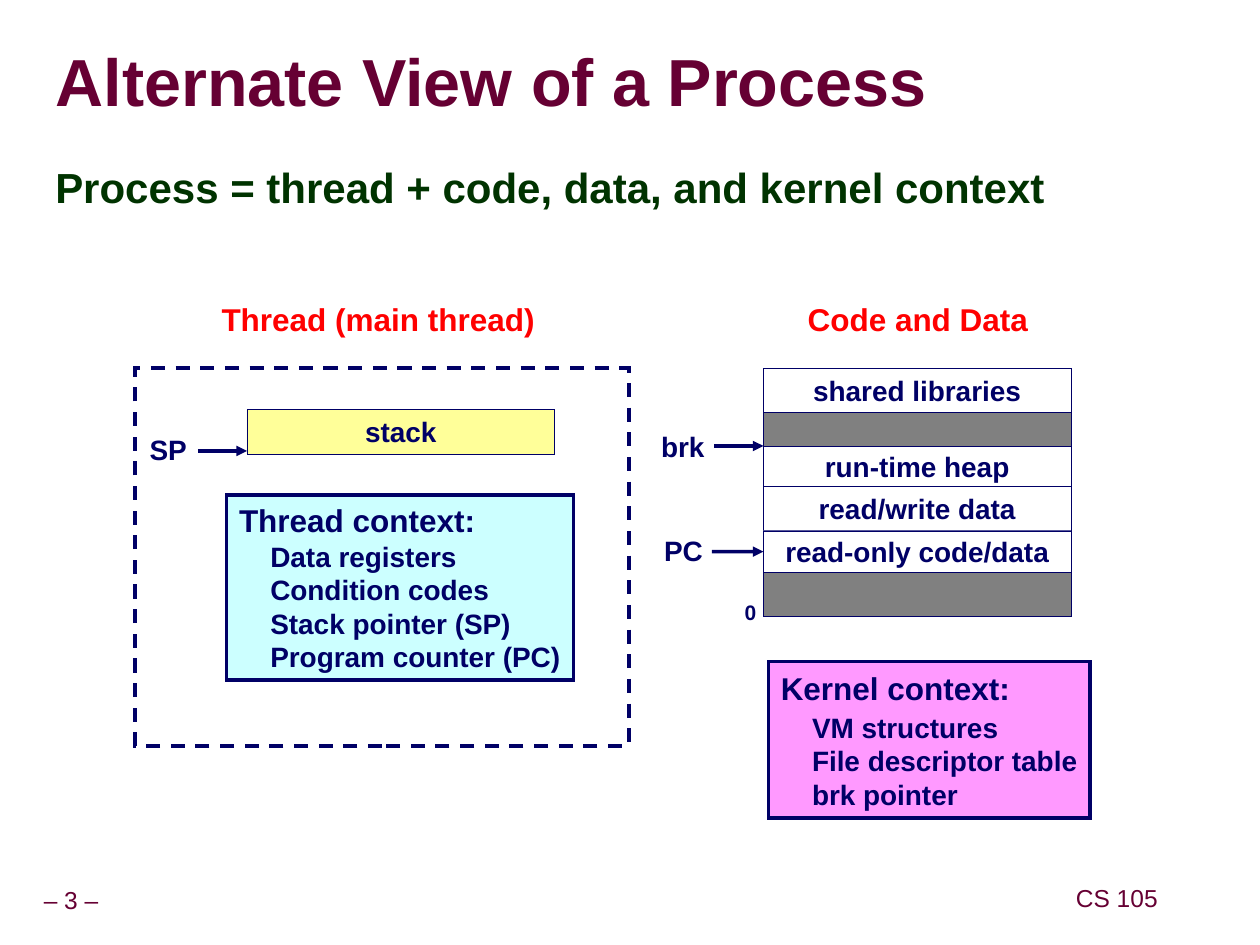
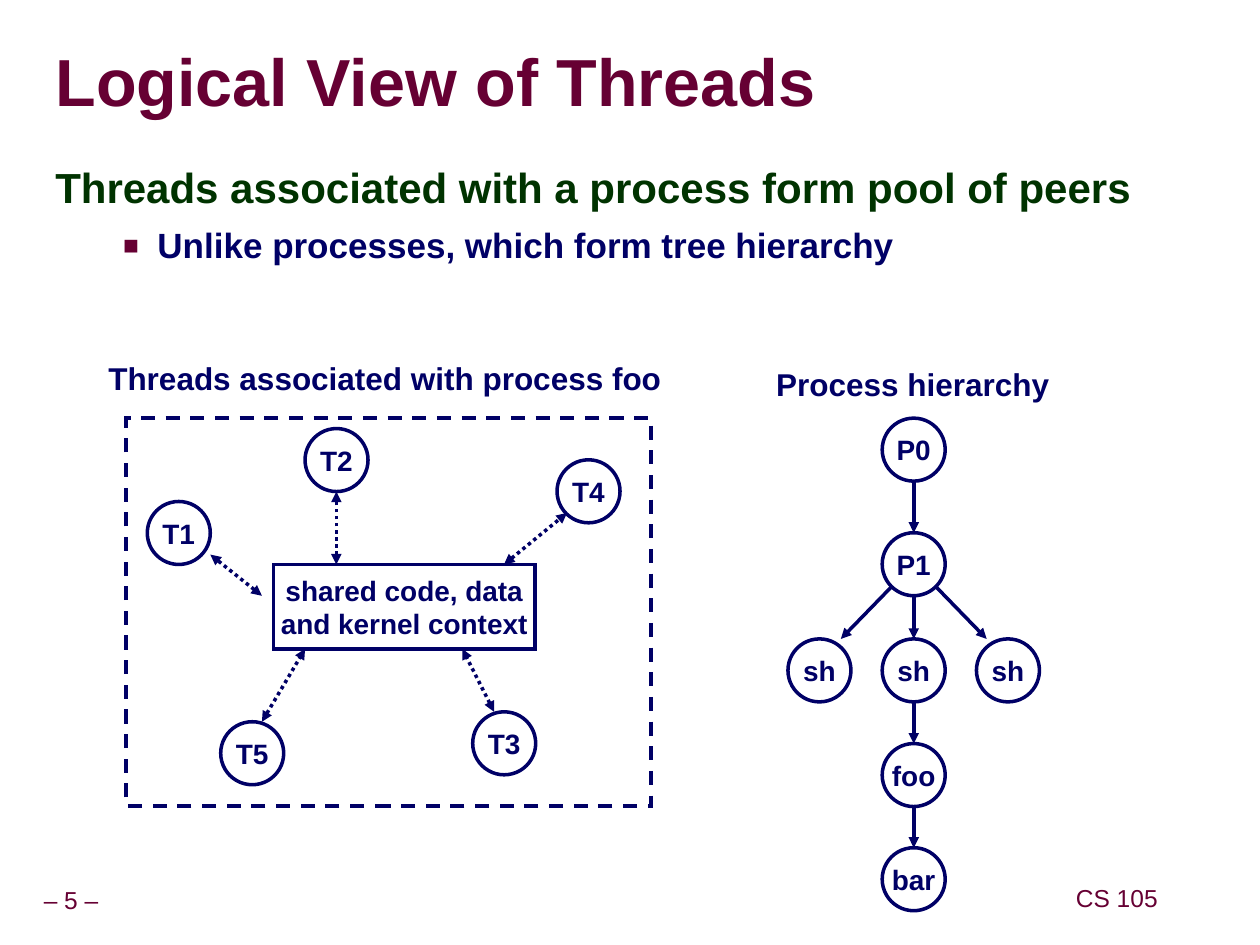
from lxml import etree
from pptx import Presentation
from pptx.dml.color import RGBColor
from pptx.enum.dml import MSO_LINE
from pptx.enum.shapes import MSO_CONNECTOR, MSO_SHAPE
from pptx.enum.text import MSO_ANCHOR, MSO_AUTO_SIZE, PP_ALIGN
from pptx.oxml.ns import qn
from pptx.util import Cm, Pt

RECTANGLE, OVAL = MSO_SHAPE.RECTANGLE, MSO_SHAPE.OVAL
STRAIGHT = MSO_CONNECTOR.STRAIGHT
DASH, DOT = MSO_LINE.DASH, MSO_LINE.ROUND_DOT
LEFT, CENTER = PP_ALIGN.LEFT, PP_ALIGN.CENTER
TOP, MIDDLE = MSO_ANCHOR.TOP, MSO_ANCHOR.MIDDLE
FIT_SHAPE = MSO_AUTO_SIZE.SHAPE_TO_FIT_TEXT
LEFT_SIDE = 1

FONT = "Arial"
MAROON, GREEN, NAVY, RED = "660033", "003300", "000066", "FF0000"
WHITE, GRAY, YELLOW, CYAN, PINK = "FFFFFF", "808080", "FFFF99", "CCFFFF", "FF99FF"
THIN, THICK = 0.25, 2
CIRCLE = 1.27
LABEL_HEIGHT, TAG_HEIGHT = 1.02, 0.94


def color(value):
    return RGBColor.from_string(value)


def apply(target, formats):
    for name, value in formats.items():
        setattr(target, name, value)


def place(shape, box):
    apply(shape, dict(zip(("left", "top", "width", "height"), map(Cm, box))))


def write(paragraph, text, size=16, tint=NAVY, bold=True, **formats):
    run = paragraph.add_run()
    run.text = text
    apply(run.font, {"name": FONT, "size": Pt(size), "bold": bold})
    run.font.color.rgb = color(tint)
    apply(paragraph, formats)


def set_frame(shape, anchor=MIDDLE, wrap=False, inset=None):
    frame = shape.text_frame
    apply(frame, {"vertical_anchor": anchor, "word_wrap": wrap})
    if inset is not None:
        for side in ("left", "top", "right", "bottom"):
            setattr(frame, f"margin_{side}", Cm(inset))
    return frame


def next_paragraph(frame, index):
    return frame.add_paragraph() if index else frame.paragraphs[0]


def set_indent(paragraph, margin, first=0):
    properties = paragraph._p.get_or_add_pPr()
    properties.set("marL", str(Cm(margin)))
    properties.set("indent", str(Cm(first)))
    return properties


def add_label(slide, box, text, inset=None, anchor=MIDDLE, **formats):
    """One line of text in a box that grows with it."""
    label = slide.shapes.add_textbox(*map(Cm, box))
    frame = set_frame(label, anchor, inset=inset)
    frame.auto_size = FIT_SHAPE
    write(frame.paragraphs[0], text, **{"alignment": CENTER, **formats})


def add_block(slide, box, fill=None, width=THIN, lines=(), kind=RECTANGLE, dash=None):
    block = slide.shapes.add_shape(kind, *map(Cm, box))
    block.shadow.inherit = False
    if fill:
        block.fill.solid()
        block.fill.fore_color.rgb = color(fill)
    else:
        block.fill.background()
    block.line.color.rgb = color(NAVY)
    apply(block.line, {"width": Pt(width), "dash_style": dash})
    # Sharp corners
    etree.SubElement(block.line._get_or_add_ln(), qn("a:miter"), lim="800000")
    frame = set_frame(block)
    for index, text in enumerate(lines):
        write(next_paragraph(frame, index), text, alignment=CENTER)
    return block


def add_context(slide, box, fill, heading, items, heading_gap=0):
    """Thick box with a heading and indented items."""
    frame = add_block(slide, box, fill, THICK).text_frame
    write(frame.paragraphs[0], heading, size=18, alignment=LEFT)
    for index, item in enumerate(items):
        paragraph = frame.add_paragraph()
        set_indent(paragraph, 0.63)
        gap = 0 if index else heading_gap
        write(paragraph, item, alignment=LEFT, space_before=Pt(gap))


def add_circle(slide, left, top, text):
    add_block(slide, (left, top, CIRCLE, CIRCLE), WHITE, THICK, [text], OVAL)


def add_arrow(slide, start, end, ends=("tailEnd",), dash=None):
    arrow = slide.shapes.add_connector(STRAIGHT, *map(Cm, start + end))
    arrow.line.color.rgb = color(NAVY)
    apply(arrow.line, {"width": Pt(THICK), "dash_style": dash})
    line = arrow.line._get_or_add_ln()
    for name in ends:
        etree.SubElement(line, qn(f"a:{name}"), type="triangle")
    etree.SubElement(arrow._element.spPr, qn("a:effectLst"))
    return arrow


def set_bullet(properties):
    """Small maroon square."""
    tint = etree.SubElement(properties, qn("a:buClr"))
    etree.SubElement(tint, qn("a:srgbClr"), val=MAROON)
    etree.SubElement(properties, qn("a:buSzPct"), val="75000")
    etree.SubElement(properties, qn("a:buFont"), typeface=FONT)
    etree.SubElement(properties, qn("a:buChar"), char="■")


def add_slide(presentation, number, title, statement, points=()):
    """Slide with title, statement, bullet points and both footers."""
    slide = presentation.slides.add_slide(presentation.slide_layouts[1])
    heading, body = slide.placeholders
    place(heading, (1.12, 0.69, 19.84, 2.08))
    frame = set_frame(heading, wrap=True, inset=0)
    write(frame.paragraphs[0], title, 38, MAROON, alignment=LEFT, line_spacing=0.87)

    place(body, (0.86, 3.2, 23.09, 14.5))
    frame = set_frame(body, TOP, wrap=True)
    properties = set_indent(frame.paragraphs[0], 1.07, -1.07)
    etree.SubElement(properties, qn("a:buNone"))
    write(frame.paragraphs[0], statement, 24, GREEN, line_spacing=0.95, space_before=Pt(0))
    for point in points:
        paragraph = frame.add_paragraph()
        set_bullet(set_indent(paragraph, 2.06, -0.69))
        write(paragraph, point, 20, level=1, line_spacing=0.95, space_before=Pt(7.8))

    footer = {"size": 14, "tint": MAROON, "bold": False, "inset": 0.13, "line_spacing": 0.9}
    add_label(slide, (-0.23, 17.78, 3.33, 0.79), f"– {number} –", **footer)
    add_label(slide, (21.46, 17.75, 2.11, 0.79), "CS 105", **footer)
    return slide


def build_process_view(presentation):
    slide = add_slide(presentation, 3, "Alternate View of a Process",
                      "Process = thread + code, data, and kernel context")

    # Memory areas, stacked from the top
    memory_left, block_width, frame_top = 15.39, 6.2, 7.42
    areas = [("shared libraries", 0.89), (None, 0.69), ("run-time heap", 0.81),
             ("read/write data", 0.89), ("read-only code/data", 0.84), (None, 0.88)]
    blocks = {}
    top = frame_top
    for name, height in areas:
        blocks[name] = add_block(slide, (memory_left, top, block_width, height),
                                 WHITE if name else GRAY, lines=[name] if name else [])
        top += height
    add_label(slide, (14.76, 11.96, 0.74, 0.76), "0", size=12, anchor=TOP, alignment=LEFT)

    # Thread and contexts
    add_block(slide, (2.72, frame_top, 9.96, 7.62), width=THICK, dash=DASH)
    add_block(slide, (4.98, 8.26, block_width, 0.89), YELLOW, lines=["stack"])
    add_context(slide, (4.57, 9.98, 6.99, 3.73), CYAN, "Thread context:",
                ["Data registers", "Condition codes", "Stack pointer (SP)",
                 "Program counter (PC)"])
    add_context(slide, (15.49, 13.34, 6.48, 3.15), PINK, "Kernel context:",
                ["VM structures", "File descriptor table", "brk pointer"], heading_gap=2.3)

    # Headings
    for left, width, text in [(4.12, 7.01, "Thread (main thread)"),
                              (15.84, 5.33, "Code and Data")]:
        add_label(slide, (left, 5.92, width, LABEL_HEIGHT), text, size=18, tint=RED)

    # Pointers: name, label box, arrow start and height
    arrows = {}
    for name, left, top, width, start, y in [("SP", 2.67, 8.59, 1.44, 3.99, 9.09),
                                             ("brk", 12.98, 8.53, 1.57, 14.4, 8.99),
                                             ("PC", 13.03, 10.62, 1.5, 14.35, 11.12)]:
        add_label(slide, (left, top, width, TAG_HEIGHT), name)
        arrows[name] = add_arrow(slide, (start, y), (start + 0.99, y))
    arrows["PC"].end_connect(blocks["read-only code/data"], LEFT_SIDE)


def build_thread_view(presentation):
    slide = add_slide(presentation, 5, "Logical View of Threads",
                      "Threads associated with a process form pool of peers",
                      ["Unlike processes, which form tree hierarchy"])
    for box, text in [((1.93, 7.11, 11.66, LABEL_HEIGHT), "Threads associated with process foo"),
                      ((15.39, 7.24, 6.02, LABEL_HEIGHT), "Process hierarchy")]:
        add_label(slide, box, text, size=18)

    # Pool of threads around the shared context
    add_block(slide, (2.54, 8.43, 10.59, 7.82), width=THICK, dash=DASH)
    add_block(slide, (5.51, 11.38, 5.28, 1.7), WHITE, THICK,
              ["shared code, data", "and kernel context"])
    threads = [("T1", 2.97, 10.11, (5.28, 12.01), (4.24, 11.18)),
               ("T2", 6.15, 8.64, (6.78, 11.38), (6.78, 9.91)),
               ("T3", 9.53, 14.35, (9.96, 14.35), (9.32, 13.08)),
               ("T4", 11.23, 9.27, (10.16, 11.38), (11.43, 10.34)),
               ("T5", 4.45, 14.55, (5.28, 14.55), (6.15, 13.08))]
    for name, left, top, start, end in threads:
        add_circle(slide, left, top, name)
        add_arrow(slide, start, end, ("headEnd", "tailEnd"), DOT)

    # Process tree: central chain, then the outer children
    center, spread = 18.42, 1.9
    chain = [("P0", 8.43), ("P1", 10.74), ("sh", 12.88), ("foo", 14.99), ("bar", 17.09)]
    for name, top in chain:
        add_circle(slide, center - CIRCLE / 2, top, name)
    for (_, upper), (_, lower) in zip(chain, chain[1:]):
        add_arrow(slide, (center, upper + CIRCLE), (center, lower))
    for side in (-1, 1):
        add_circle(slide, center + side * spread - CIRCLE / 2, 12.88, "sh")
        add_arrow(slide, (center + side * 0.43, 11.81), (center + side * 1.47, 12.88))


def main():
    presentation = Presentation()
    apply(presentation, {"slide_width": Cm(25.4), "slide_height": Cm(19.05)})
    build_process_view(presentation)
    build_thread_view(presentation)
    presentation.save("out.pptx")


if __name__ == "__main__":
    main()
